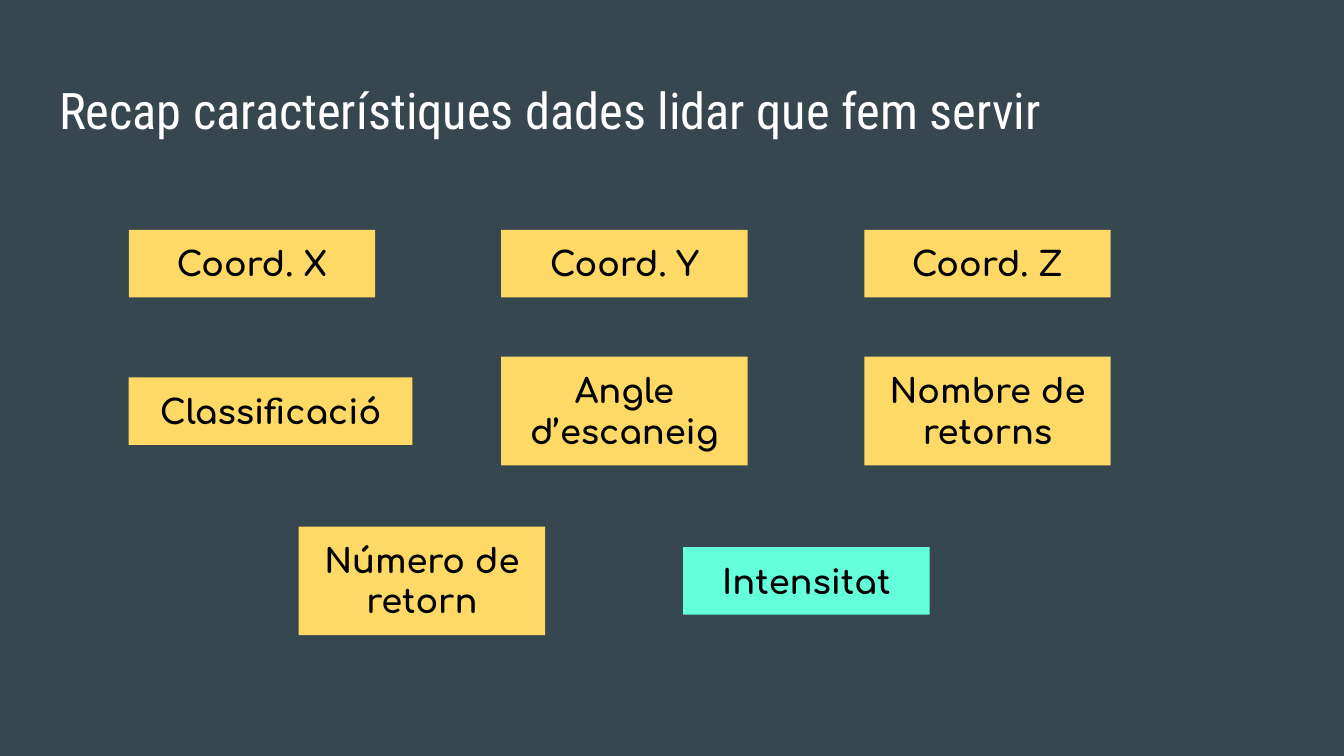
from pptx import Presentation
from pptx.dml.color import RGBColor
from pptx.enum.shapes import MSO_SHAPE as Shape
from pptx.enum.text import MSO_ANCHOR as Anchor, MSO_AUTO_SIZE as Fit, PP_ALIGN as Align
from pptx.util import Pt

SLATE, WHITE, BLACK = "37474F", "FFFFFF", "000000"
GOLD, MINT = "FFD966", "64FFDA"


def color(code):
    return RGBColor.from_string(code)


class Deck:
    head_font, tag_font = "Roboto Condensed", "Comfortaa"
    inset = 7.2

    def __init__(self, width, height):
        self.file = Presentation()
        self.file.slide_width, self.file.slide_height = Pt(width), Pt(height)
        self.slide = self.file.slides.add_slide(self.file.slide_layouts[5])
        fill = self.slide.background.fill
        fill.solid()
        fill.fore_color.rgb = color(SLATE)

    def label(self, shape, text, font, size, ink, align, bold=False):
        frame = shape.text_frame
        frame.word_wrap = True
        frame.vertical_anchor = Anchor.TOP
        frame.margin_left = frame.margin_right = Pt(self.inset)
        frame.margin_top = frame.margin_bottom = Pt(self.inset)
        para = frame.paragraphs[0]
        para.alignment = align
        run = para.add_run()
        run.text = text
        run.font.name, run.font.size, run.font.bold = font, Pt(size), bold
        run.font.color.rgb = color(ink)

    def title(self, text, left, top, width, height):
        shape = self.slide.shapes.title
        shape.left, shape.top = Pt(left), Pt(top)
        shape.width, shape.height = Pt(width), Pt(height)
        shape.text_frame.auto_size = Fit.NONE
        self.label(shape, text, self.head_font, 27, WHITE, Align.LEFT)

    def tag(self, text, left, mid, width=132, lines=1, fill=GOLD):
        """Box centred on the row line at mid; its height follows its lines."""
        height = 14.2 + 22 * lines
        shape = self.slide.shapes.add_shape(
            Shape.RECTANGLE, Pt(left), Pt(mid - height / 2), Pt(width), Pt(height))
        shape.shadow.inherit = False
        shape.fill.solid()
        shape.fill.fore_color.rgb = color(fill)
        shape.line.fill.background()
        shape.text_frame.auto_size = Fit.SHAPE_TO_FIT_TEXT
        self.label(shape, text, self.tag_font, 18, BLACK, Align.CENTER, True)


def main():
    deck = Deck(720, 405)
    deck.title("Recap característiques dades lidar que fem servir", 24.5, 35, 671, 45.1)

    # Column edges and row centre lines
    cols = 69, 268.5, 463
    top, mid, low = 141.3, 220.2, 311.2

    # Coordinates
    for axis, left in zip("XYZ", cols):
        deck.tag(f"Coord. {axis}", left, top)

    # Point attributes
    deck.tag("Classificació", cols[0], mid, width=152)
    deck.tag("Angle d’escaneig", cols[1], mid, lines=2)
    deck.tag("Nombre de retorns", cols[2], mid, lines=2)

    # Return number and intensity
    deck.tag("Número de retorn", 160, low, lines=2)
    deck.tag("Intensitat", 366, low, fill=MINT)

    deck.file.save("out.pptx")


if __name__ == "__main__":
    main()
